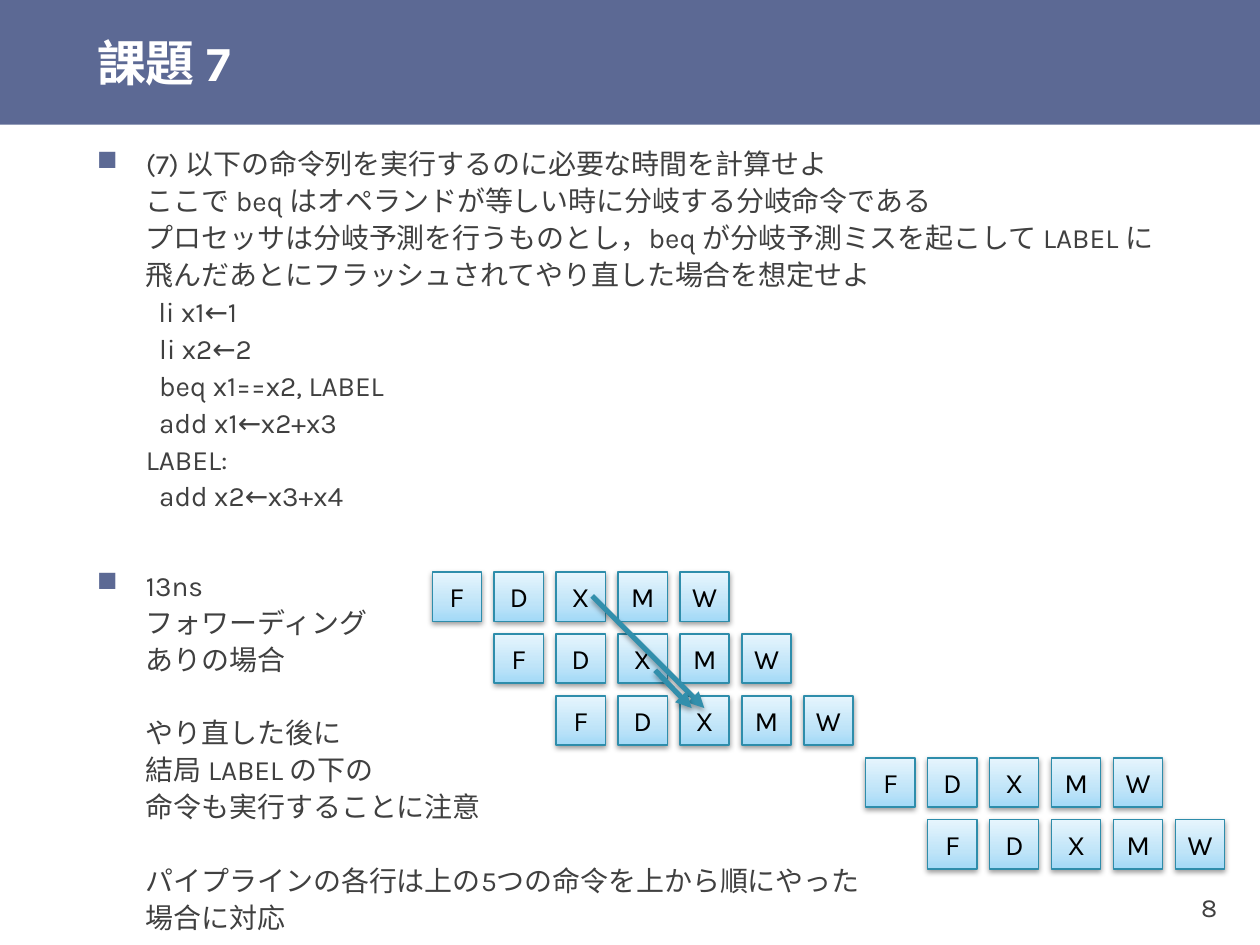
import dataclasses
from typing import Any

import lxml.etree
import pptx
import pptx.dml.color
import pptx.enum.shapes
import pptx.enum.text
import pptx.oxml
import pptx.oxml.ns
import pptx.util

Inches = pptx.util.Inches
Pt = pptx.util.Pt
RGBColor = pptx.dml.color.RGBColor
PP_ALIGN = pptx.enum.text.PP_ALIGN
MIDDLE = pptx.enum.text.MSO_ANCHOR.MIDDLE
RECTANGLE = pptx.enum.shapes.MSO_SHAPE.RECTANGLE
STRAIGHT = pptx.enum.shapes.MSO_CONNECTOR.STRAIGHT
qn = pptx.oxml.ns.qn

FONT = "Karla"
INDIGO = RGBColor(0x5C, 0x69, 0x94)
WHITE = RGBColor(0xFF, 0xFF, 0xFF)
BLACK = RGBColor(0x00, 0x00, 0x00)
GRAY = RGBColor(0x40, 0x40, 0x40)
TEAL = RGBColor(0x2E, 0x8D, 0xAB)
ARROW_TEAL = RGBColor(0x32, 0x8F, 0xAC)
STAGE_GRADIENT = (
    (0, RGBColor(0xA2, 0xD9, 0xF7)),
    (35, RGBColor(0xBF, 0xE4, 0xF8)),
    (100, RGBColor(0xE6, 0xF5, 0xFD)),
)

BAND_HEIGHT = 0.99
TEXT_LEFT = 0.67
HANGING = 0.39

STAGES = "FDXMW"
STAGE_SIZE = 0.39
GRID_LEFT, GRID_TOP = 3.43, 4.54
GRID_PITCH = 5.9 / 12
ROW_STARTS = (0, 1, 2, 7, 8)  # clock cycle in which each instruction is fetched


@dataclasses.dataclass
class BodyParagraph:
    lines: tuple[str, ...]
    bullet: bool
    before: float
    after: float


@dataclasses.dataclass
class Arrow:
    start: tuple[float, float]
    end: tuple[float, float]


BODY = (
    BodyParagraph((
        "(7) 以下の命令列を実行するのに必要な時間を計算せよ",
        "ここで beq はオペランドが等しい時に分岐する分岐命令である",
        "プロセッサは分岐予測を行うものとし，beq が分岐予測ミスを起こして LABEL に飛んだあとにフラッシュされてやり直した場合を想定せよ",
        "  li x1←1",
        "  li x2←2",
        "  beq x1==x2, LABEL",
        "  add x1←x2+x3",
        "LABEL:",
        "  add x2←x3+x4",
    ), True, 0, 6),
    BodyParagraph(("13ns", "フォワーディング", "ありの場合"), True, 24, 0),
    BodyParagraph(("やり直した後に", "結局 LABEL の下の", "命令も実行することに注意"), False, 21, 0),
    BodyParagraph(("パイプラインの各行は上の5つの命令を上から順にやった", "場合に対応"), False, 21, 0),
)

FORWARDING = (
    Arrow((4.7, 4.73), (5.59, 5.62)),
    Arrow((5.2, 5.32), (5.49, 5.62)),
)


def apply(target: Any, values: dict[str, Any]) -> None:
    for name, value in values.items():
        setattr(target, name, value)


def format_font(font: Any, size: float, color: RGBColor, bold: bool = False) -> None:
    apply(font, {"name": FONT, "size": Pt(size), "bold": bold})
    font.color.rgb = color


def add_shadow(shape: Any, opacity: int, distance: float) -> None:
    properties = shape.element.spPr
    for old in properties.findall(qn("a:effectLst")):
        properties.remove(old)
    properties.append(pptx.oxml.parse_xml(
        f'<a:effectLst {pptx.oxml.ns.nsdecls("a")}>'
        f'<a:outerShdw blurRad="{Pt(3.1)}" dist="{Pt(distance)}" dir="5400000" rotWithShape="0">'
        f'<a:srgbClr val="000000"><a:alpha val="{opacity * 1000}"/></a:srgbClr>'
        '</a:outerShdw></a:effectLst>'))


def add_band(slide: Any) -> Any:
    band = slide.shapes.add_shape(RECTANGLE, 0, 0, Inches(10), Inches(BAND_HEIGHT))
    band.shadow.inherit = False
    band.fill.solid()
    band.fill.fore_color.rgb = INDIGO
    band.line.fill.background()
    return band


def format_title(title: Any) -> None:
    apply(title, {"left": Inches(TEXT_LEFT), "top": 0,
                  "width": Inches(9.33), "height": Inches(BAND_HEIGHT)})
    frame = title.text_frame
    frame.text = "課題 7"
    apply(frame, {"vertical_anchor": MIDDLE, "word_wrap": True,
                  "margin_top": 0, "margin_bottom": 0})
    frame.paragraphs[0].alignment = PP_ALIGN.LEFT
    format_font(frame.paragraphs[0].runs[0].font, 28, WHITE, bold=True)


def add_bullet(paragraph_properties: Any) -> None:
    color = lxml.etree.SubElement(paragraph_properties, qn("a:buClr"))
    lxml.etree.SubElement(color, qn("a:srgbClr"), val=str(INDIGO))
    lxml.etree.SubElement(paragraph_properties, qn("a:buChar"), char="■")


def add_body(slide: Any) -> None:
    box = slide.shapes.add_textbox(Inches(TEXT_LEFT), Inches(1.09), Inches(8.66), Inches(2.76))
    frame = box.text_frame
    frame.word_wrap = True
    for index, content in enumerate(BODY):
        paragraph = frame.add_paragraph() if index else frame.paragraphs[0]
        paragraph.text = "\v".join(content.lines)
        apply(paragraph, {"line_spacing": 1.1, "space_before": Pt(content.before),
                          "space_after": Pt(content.after)})
        properties = paragraph._p.get_or_add_pPr()
        properties.set("marL", str(Inches(HANGING)))
        properties.set("indent", str(Inches(-HANGING if content.bullet else 0)))
        if content.bullet:
            add_bullet(properties)
        for run in paragraph.runs:
            format_font(run.font, 16, GRAY)


def add_stage(slide: Any, name: str, column: int, row: int) -> None:
    shape = slide.shapes.add_shape(
        RECTANGLE,
        Inches(GRID_LEFT + column * GRID_PITCH), Inches(GRID_TOP + row * GRID_PITCH),
        Inches(STAGE_SIZE), Inches(STAGE_SIZE))
    stops = "".join(f'<a:gs pos="{position * 1000}"><a:srgbClr val="{color}"/></a:gs>'
                    for position, color in STAGE_GRADIENT)
    shape.element.spPr.append(pptx.oxml.parse_xml(
        f'<a:gradFill {pptx.oxml.ns.nsdecls("a")} rotWithShape="1"><a:gsLst>{stops}</a:gsLst>'
        '<a:lin ang="16200000" scaled="0"/></a:gradFill>'))
    shape.line.color.rgb = TEAL
    shape.line.width = Pt(0.75)
    add_shadow(shape, 38, 1.6)
    frame = shape.text_frame
    frame.text = name
    apply(frame, {"word_wrap": False, "vertical_anchor": MIDDLE})
    frame.paragraphs[0].alignment = PP_ALIGN.CENTER
    format_font(frame.paragraphs[0].runs[0].font, 16, BLACK)


def add_arrow(slide: Any, arrow: Arrow) -> None:
    points = [Inches(value) for value in (*arrow.start, *arrow.end)]
    connector = slide.shapes.add_connector(STRAIGHT, *points)
    connector.line.color.rgb = ARROW_TEAL
    connector.line.width = Pt(3)
    line = connector.element.spPr.find(qn("a:ln"))
    lxml.etree.SubElement(line, qn("a:tailEnd"), type="triangle")
    add_shadow(connector, 35, 1.8)


def add_page_number(slide: Any) -> None:
    box = slide.shapes.add_textbox(Inches(8.94), Inches(6.9), Inches(0.79), Inches(0.6))
    frame = box.text_frame
    frame.text = "8"
    apply(frame, {"word_wrap": False, "vertical_anchor": MIDDLE,
                  "margin_left": Inches(0.07), "margin_right": Inches(0.07),
                  "margin_top": Inches(0.04), "margin_bottom": Inches(0.04)})
    frame.paragraphs[0].alignment = PP_ALIGN.RIGHT
    format_font(frame.paragraphs[0].runs[0].font, 15, GRAY)


def main() -> None:
    presentation = pptx.Presentation()
    apply(presentation, {"slide_width": Inches(10), "slide_height": Inches(7.5)})
    slide = presentation.slides.add_slide(presentation.slide_layouts[5])

    # Title on its band, which lies behind it
    title = slide.shapes.title
    format_title(title)
    title.element.addprevious(add_band(slide).element)

    # Question, answer and page number
    add_page_number(slide)
    add_body(slide)

    # Pipeline diagram with forwarding arrows
    for row, start in enumerate(ROW_STARTS):
        for offset, name in enumerate(STAGES):
            add_stage(slide, name, start + offset, row)
    for arrow in FORWARDING:
        add_arrow(slide, arrow)

    presentation.save("out.pptx")


if __name__ == "__main__":
    main()
